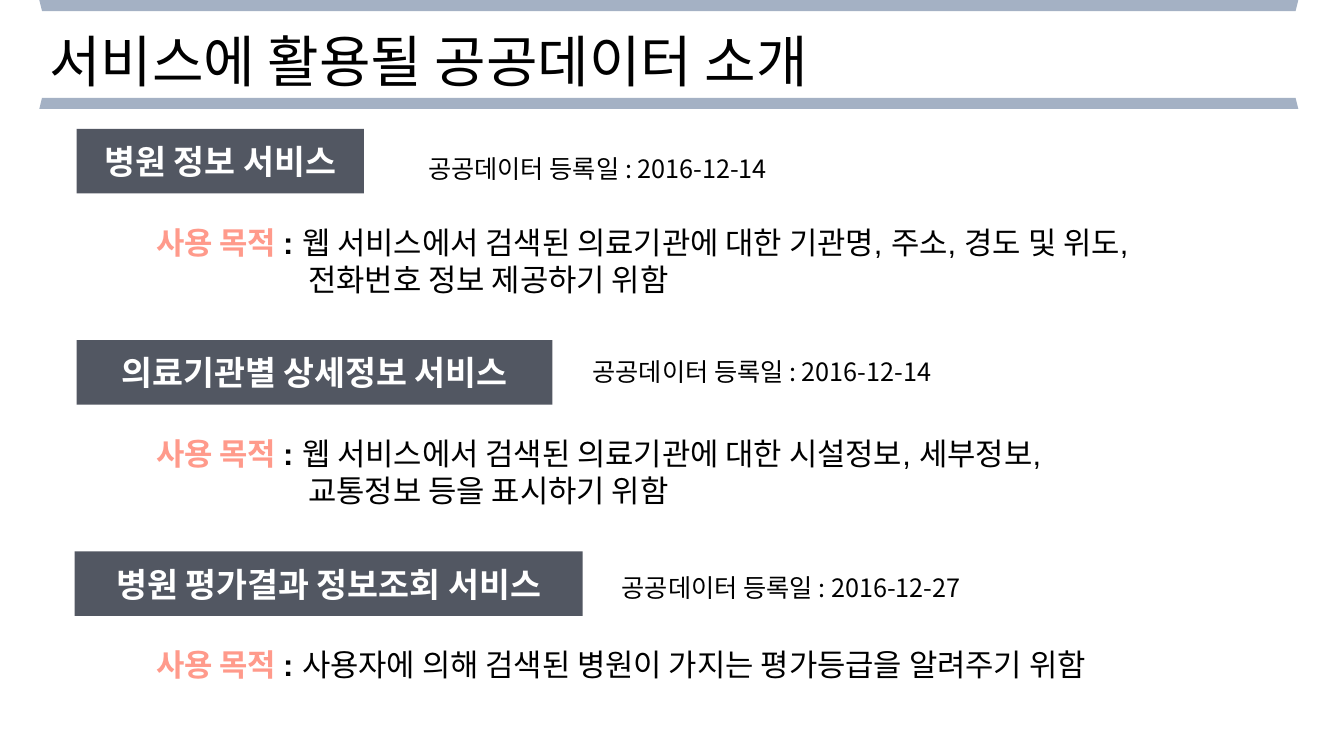
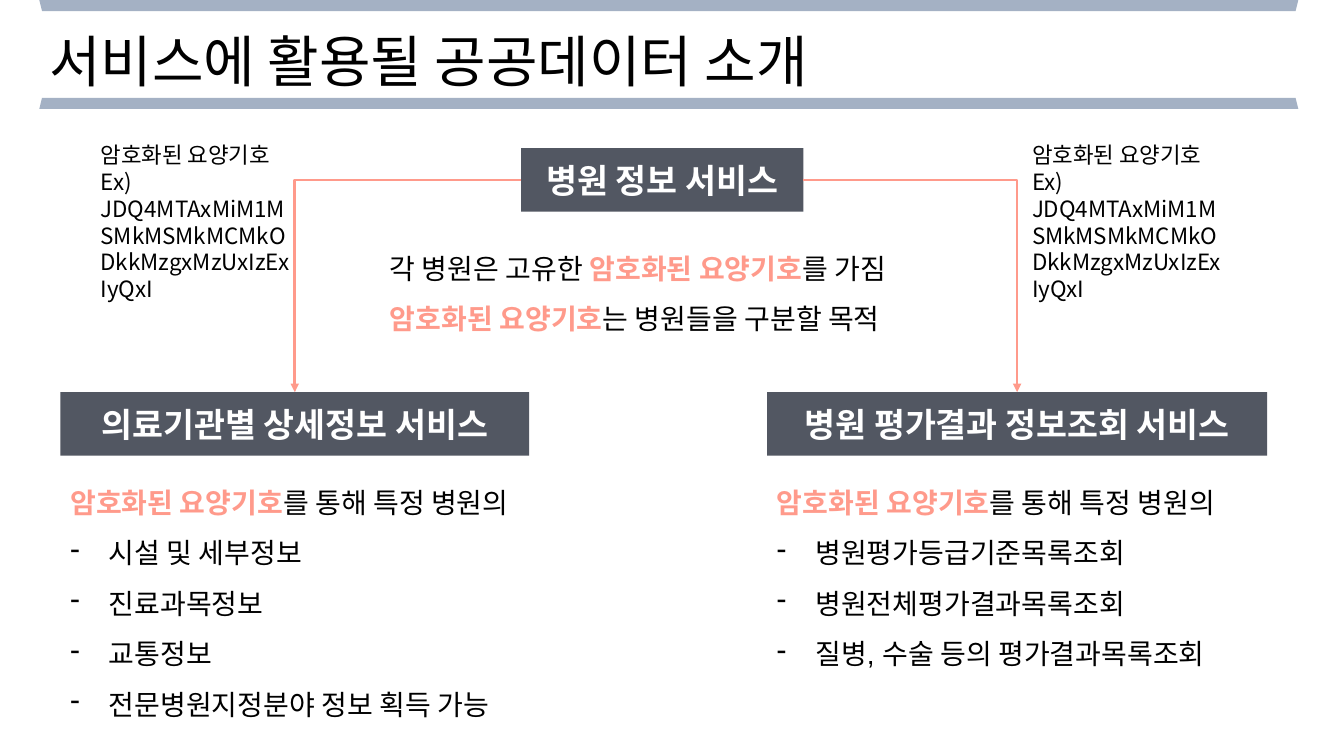
from lxml.etree import SubElement
from pptx import Presentation
from pptx.dml.color import RGBColor
from pptx.enum.shapes import MSO_CONNECTOR, MSO_SHAPE
from pptx.enum.text import MSO_ANCHOR, MSO_AUTO_SIZE, PP_ALIGN
from pptx.oxml.ns import qn
from pptx.util import Emu, Inches, Pt

TRAPEZOID, RECTANGLE = MSO_SHAPE.TRAPEZOID, MSO_SHAPE.RECTANGLE
ELBOW = MSO_CONNECTOR.ELBOW
LEFT, CENTER = PP_ALIGN.LEFT, PP_ALIGN.CENTER
TOP, MIDDLE = MSO_ANCHOR.TOP, MSO_ANCHOR.MIDDLE
NO_AUTOFIT = MSO_AUTO_SIZE.NONE
LEFT_SIDE, RIGHT_SIDE, TOP_SIDE = 1, 3, 0

SLIDE_WIDTH, SLIDE_HEIGHT = Inches(13.33), Inches(7.5)
COLUMN, ROW = SLIDE_WIDTH / 40, SLIDE_HEIGHT / 30
COLORS = {"ink": "000000", "accent": "FF9A8B", "band": "A4B1C4",
          "label": "404551", "label_text": "FFFFFF"}
BODY_FONT, NOTE_FONT = "Arial", "Noto Sans CJK KR"
TITLE = "서비스에 활용될 공공데이터 소개"
HOSPITAL = "병원 정보 서비스"
DETAIL = "의료기관별 상세정보 서비스"
RATING = "병원 평가결과 정보조회 서비스"
CODE = ("암호화된 요양기호", "accent")


def cells(left, top, width, height):
    return [Emu(round(n * unit)) for n, unit in
            ((left, COLUMN), (top, ROW), (width, COLUMN), (height, ROW))]


def color(name):
    return RGBColor.from_string(COLORS[name])


def style(paragraph, size, font=BODY_FONT, ink="ink", bold=False, align=LEFT):
    paragraph.alignment = align
    paragraph.font.size = Pt(size)
    paragraph.font.name = font
    paragraph.font.bold = bold
    paragraph.font.color.rgb = color(ink)


def add_runs(paragraph, runs):
    for text, emphasis in runs:
        run = paragraph.add_run()
        run.text = text
        if emphasis:
            run.font.bold = True
        if emphasis == "accent":
            run.font.color.rgb = color("accent")


def hang(paragraph, indent, bullet=None):
    properties = paragraph._p.get_or_add_pPr()
    properties.set("marL", str(Inches(indent)))
    properties.set("indent", str(-Inches(indent)))
    if bullet:
        SubElement(properties, qn("a:buChar")).set("char", bullet)


def add_text(slide, place):
    frame = slide.shapes.add_textbox(*cells(*place)).text_frame
    frame.word_wrap = True
    return frame


def add_filled(slide, kind, place, fill):
    shape = slide.shapes.add_shape(kind, *cells(*place))
    shape.shadow.inherit = False
    shape.fill.solid()
    shape.fill.fore_color.rgb = color(fill)
    shape.line.fill.background()
    return shape


def add_titled_slide(deck):
    slide = deck.slides.add_slide(deck.slide_layouts[5])
    for top, rotation in ((0, 180), (3.88, 0)):
        add_filled(slide, TRAPEZOID, (1.17, top, 37.47, 0.44), "band").rotation = rotation
    title = slide.shapes.title
    title.left, title.top, title.width, title.height = cells(1.17, 0.84, 25.95, 3.08)
    frame = title.text_frame
    frame.text = TITLE
    frame.auto_size = NO_AUTOFIT
    frame.vertical_anchor = TOP
    style(frame.paragraphs[0], 40)
    return slide


def add_label(slide, name, place):
    label = add_filled(slide, RECTANGLE, place, "label")
    fill_color = label.element.spPr.find(qn("a:solidFill"))[0]
    SubElement(fill_color, qn("a:alpha")).set("val", "90000")
    frame = label.text_frame
    frame.text = name
    frame.vertical_anchor = MIDDLE
    style(frame.paragraphs[0], 24, ink="label_text", bold=True, align=CENTER)
    return label


def add_note(slide, text, place, size):
    frame = add_text(slide, place)
    frame.text = text
    style(frame.paragraphs[0], size, NOTE_FONT)


def add_purpose(slide, lines, top):
    paragraph = add_text(slide, (4.35, top, 33.12, 3.36)).paragraphs[0]
    hang(paragraph, 1.51)
    style(paragraph, 22)
    add_runs(paragraph, [("사용 목적 ", "accent"), (": ", "strong"), (lines[0], None)])
    for line in lines[1:]:
        paragraph.add_line_break()
        add_runs(paragraph, [(line, None)])


def add_explanation(slide, place, sentences, items=()):
    frame = add_text(slide, place)
    entries = [(runs, False) for runs in sentences]
    entries += [([(item, None)], True) for item in items]
    for index, (runs, listed) in enumerate(entries):
        paragraph = frame.add_paragraph() if index else frame.paragraphs[0]
        if listed:
            hang(paragraph, 0.38, "-")
        paragraph.line_spacing = 1.5
        style(paragraph, 20)
        add_runs(paragraph, runs)


def add_arrow(slide, source, side, target):
    arrow = slide.shapes.add_connector(ELBOW, 0, 0, 0, 0)
    arrow.begin_connect(source, side)
    arrow.end_connect(target, TOP_SIDE)
    arrow.line.color.rgb = color("accent")
    arrow.line.width = Pt(2)
    properties = arrow.element.spPr
    properties.find(qn("a:prstGeom")).set("prst", "bentConnector2")
    SubElement(properties.find(qn("a:ln")), qn("a:tailEnd")).set("type", "triangle")
    SubElement(properties, qn("a:effectLst"))


def build_services(deck):
    slide = add_titled_slide(deck)
    services = (
        (HOSPITAL, 2.28, 8.55, "2016-12-14", 12.45, 0.76,
         ("웹 서비스에서 검색된 의료기관에 대한 기관명, 주소, 경도 및 위도,",
          "전화번호 정보 제공하기 위함")),
        (DETAIL, 2.28, 14.16, "2016-12-14", 17.34, 0.44,
         ("웹 서비스에서 검색된 의료기관에 대한 시설정보, 세부정보,",
          "교통정보 등을 표시하기 위함")),
        (RATING, 2.22, 15.12, "2016-12-27", 18.21, 0.64,
         ("사용자에 의해 검색된 병원이 가지는 평가등급을 알려주기 위함",)),
    )
    for index, (name, left, width, date, date_left, date_drop, lines) in enumerate(services):
        top = 5.12 + index * 8.38
        add_label(slide, name, (left, top, width, 2.56))
        add_note(slide, f"공공데이터 등록일 : {date}",
                 (date_left, top + date_drop, 11.4, 1.6), 18)
        add_purpose(slide, lines, top + 3.56)


def build_relations(deck):
    slide = add_titled_slide(deck)
    hospital = add_label(slide, HOSPITAL, (15.51, 5.88, 8.4, 2.52))
    add_explanation(slide, (11.31, 9.12, 17.22, 4.2), [
        [("각 병원은 고유한 ", None), CODE, ("를 가짐", None)],
        [CODE, ("는 병원들을 구분할 목적", None)],
    ])
    branches = (
        (DETAIL, 1.8, 13.95, LEFT_SIDE, 2.7,
         ("시설 및 세부정보", "진료과목정보", "교통정보", "전문병원지정분야 정보 획득 가능")),
        (RATING, 22.83, 14.88, RIGHT_SIDE, 30.42,
         ("병원평가등급기준목록조회", "병원전체평가결과목록조회", "질병, 수술 등의 평가결과목록조회")),
    )
    for name, left, width, side, example_left, items in branches:
        service = add_label(slide, name, (left, 15.56, width, 2.52))
        add_arrow(slide, hospital, side, service)
        add_explanation(slide, (left, 18.4, 15.24, 10.52),
                        [[CODE, ("를 통해 특정 병원의", None)]], items)
        add_note(slide, "암호화된 요양기호\vEx) JDQ4MTAxMiM1MSMkMSMkMCMkODkkMzgxMzUxIzExIyQxI",
                 (example_left, 5.4, 6.3, 6.88), 16)


def main():
    deck = Presentation()
    deck.slide_width, deck.slide_height = SLIDE_WIDTH, SLIDE_HEIGHT
    build_services(deck)
    build_relations(deck)
    deck.save("out.pptx")


if __name__ == "__main__":
    main()
